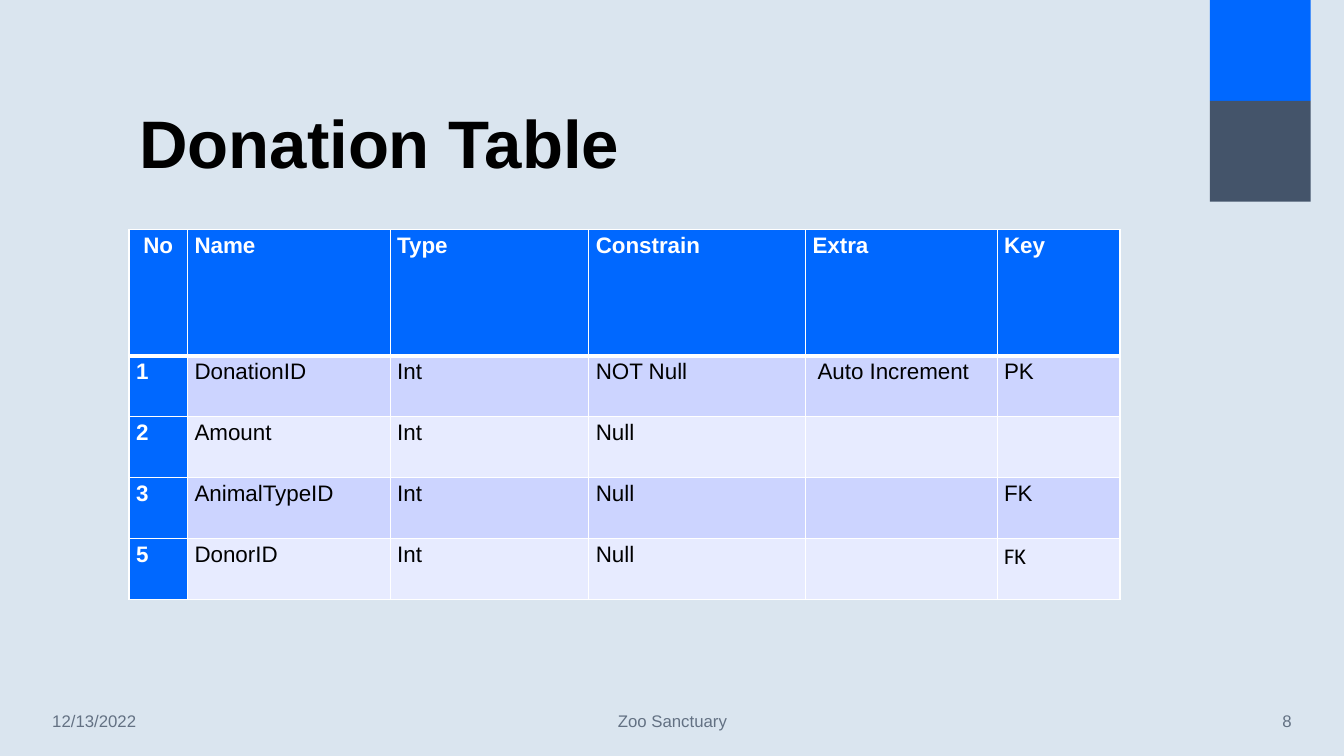
import math
from dataclasses import dataclass

import lxml.etree
import pptx
import pptx.dml.color
import pptx.enum.text
import pptx.oxml.ns
import pptx.util

Inches = pptx.util.Inches
Align = pptx.enum.text.PP_ALIGN
Anchor = pptx.enum.text.MSO_ANCHOR


@dataclass(frozen=True)
class Theme:
    background: str = "DAE5EF"
    accent: str = "0068FF"
    slate: str = "44546A"
    band_dark: str = "CCD4FF"
    band_light: str = "E7EBFF"
    black: str = "000000"
    white: str = "FFFFFF"
    footer: str = "637183"
    font: str = "Arial"
    title_size: int = 48
    table_size: int = 16
    footer_size: int = 12


theme = Theme()
color = pptx.dml.color.RGBColor.from_string


def write(frame, text, size, ink, bold=False, font=theme.font, align=Align.LEFT,
          line_spacing=1.0, space_after=0):
    para = frame.paragraphs[0]
    para.alignment = align
    para.line_spacing = line_spacing
    para.space_before = pptx.util.Pt(0)
    para.space_after = pptx.util.Pt(space_after)
    span = para.add_run()
    span.text = text
    span.font.name = font
    span.font.size = pptx.util.Pt(size)
    span.font.bold = bold
    span.font.color.rgb = color(ink)


def add_border(cell, side, points):
    qn = pptx.oxml.ns.qn
    line = lxml.etree.SubElement(cell._tc.get_or_add_tcPr(), qn(f"a:ln{side}"),
                                 w=str(pptx.util.Pt(points)))
    fill = lxml.etree.SubElement(line, qn("a:solidFill"))
    lxml.etree.SubElement(fill, qn("a:srgbClr"), val=theme.white)


deck = pptx.Presentation()
deck.slide_width, deck.slide_height = Inches(13.33), Inches(7.5)
page = deck.slides.add_slide(deck.slide_layouts[5])
page.background.fill.solid()
page.background.fill.fore_color.rgb = color(theme.background)

# Corner leaves: two quarter arcs each, the lower one mirrored
leaf_left, leaf_right, radius = 11.95, 13.33, 0.86
turns = [math.radians(3 * step) for step in range(31)]
leaf = [(leaf_right - radius + radius * math.sin(turn), radius - radius * math.cos(turn))
        for turn in turns]
leaf += [(leaf_left + radius - radius * math.sin(turn), radius * math.cos(turn))
         for turn in turns]
for fill, mirrored in ((theme.accent, False), (theme.slate, True)):
    points = [(x, 2 * radius - y if mirrored else y) for x, y in leaf]
    builder = page.shapes.build_freeform(*points[0], scale=Inches(1))
    builder.add_line_segments(points[1:], close=True)
    shape = builder.convert_to_shape()
    shape.shadow.inherit = False
    shape.fill.solid()
    shape.fill.fore_color.rgb = color(fill)
    shape.line.fill.background()

# Title
title = page.shapes.title
title.left, title.top = Inches(1.28), Inches(0.42)
title.width, title.height = Inches(10.69), Inches(1.45)
title.text_frame.auto_size = pptx.enum.text.MSO_AUTO_SIZE.NONE
title.text_frame.vertical_anchor = Anchor.BOTTOM
write(title.text_frame, "Donation Table", theme.title_size, theme.black, bold=True,
      line_spacing=0.9)

# Table of fields
fields = [
    ["No", "Name", "Type", "Constrain", "Extra", "Key"],
    ["1", "DonationID", "Int", "NOT Null", " Auto Increment", "PK"],
    ["2", "Amount", "Int", "Null", "", ""],
    ["3", "AnimalTypeID", "Int", "Null", "", "FK"],
    ["5", "DonorID", "Int", "Null", "", "FK"],
]
column_widths = [0.58, 2.01, 1.97, 2.15, 1.9, 1.22]
table_height, header_height = 3.67, 1.25
body_height = (table_height - header_height) / (len(fields) - 1)
table = page.shapes.add_table(len(fields), len(column_widths), Inches(1.28), Inches(2.28),
                              Inches(sum(column_widths)), Inches(table_height)).table
table.first_col = True
for column, width in zip(table.columns, column_widths):
    column.width = Inches(width)
for r, values in enumerate(fields):
    table.rows[r].height = Inches(body_height if r else header_height)
    for c, value in enumerate(values):
        cell = table.cell(r, c)
        heading = r == 0 or c == 0
        cell.margin_left = cell.margin_right = Inches(0.07)
        cell.margin_top = cell.margin_bottom = 0
        for side in "LRTB":
            under_header = (r, side) in ((0, "B"), (1, "T"))
            add_border(cell, side, 3 if under_header else 1)
        band = theme.band_dark if r % 2 else theme.band_light
        cell.fill.solid()
        cell.fill.fore_color.rgb = color(theme.accent if heading else band)
        if value:
            last = (r, c) == (len(fields) - 1, len(values) - 1)
            write(cell.text_frame, value, theme.table_size,
                  theme.white if heading else theme.black, bold=heading,
                  font="Calibri" if last else theme.font,
                  align=Align.CENTER if r == c == 0 else Align.JUSTIFY,
                  line_spacing=1.15, space_after=8)

# Footer
for text, left, width, align in (("12/13/2022", 0.42, 1.86, Align.LEFT),
                                 ("Zoo Sanctuary", 4.42, 4.5, Align.CENTER),
                                 ("8", 11.1, 1.81, Align.RIGHT)):
    box = page.shapes.add_textbox(Inches(left), Inches(6.95), Inches(width), Inches(0.4))
    box.text_frame.word_wrap = True
    box.text_frame.vertical_anchor = Anchor.MIDDLE
    write(box.text_frame, text, theme.footer_size, theme.footer, align=align)

deck.save("out.pptx")
